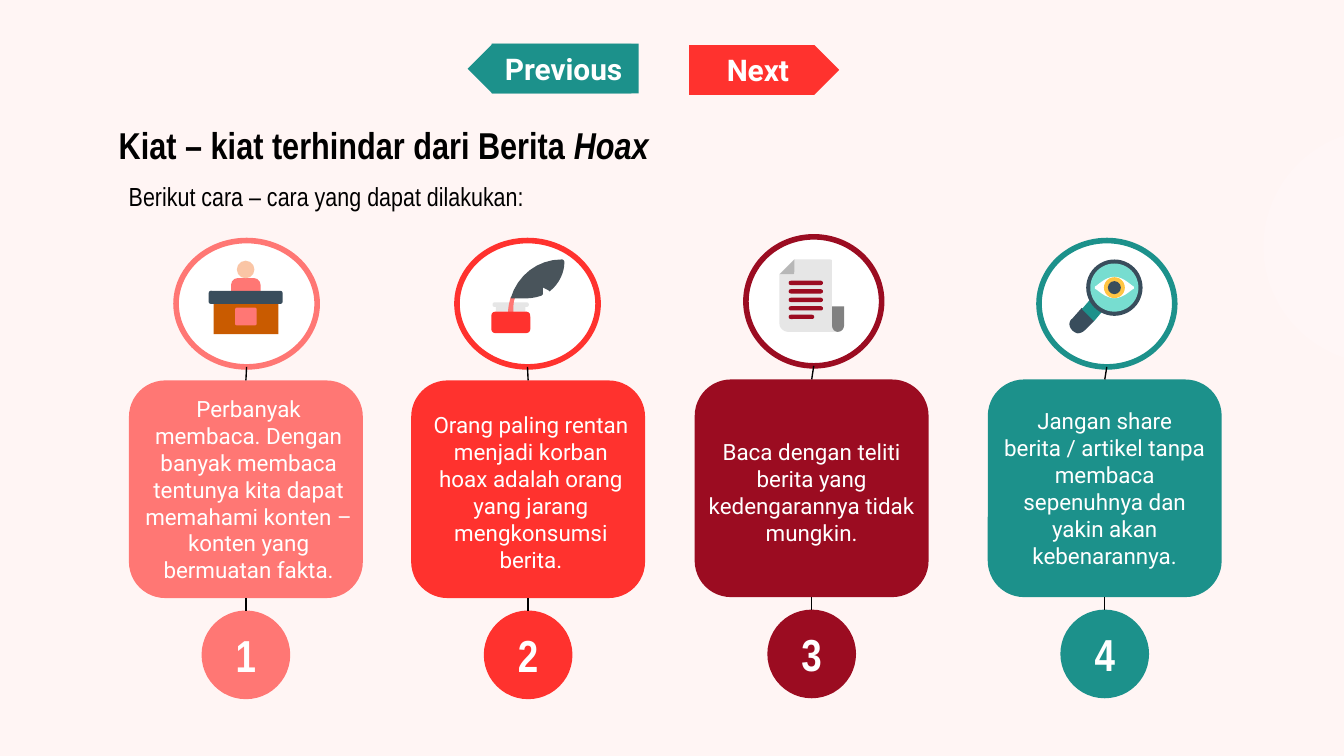
"""Build a slide with four tips for avoiding hoax news."""
from pptx import Presentation
from pptx.dml.color import RGBColor
from pptx.enum.shapes import MSO_CONNECTOR, MSO_SHAPE
from pptx.enum.text import MSO_ANCHOR, PP_ALIGN
from pptx.oxml.ns import qn
from pptx.util import Pt

OVAL, RECT = MSO_SHAPE.OVAL, MSO_SHAPE.RECTANGLE
ROUND, DOME = MSO_SHAPE.ROUNDED_RECTANGLE, MSO_SHAPE.ROUND_2_SAME_RECTANGLE
PENTAGON = MSO_SHAPE.PENTAGON
STRAIGHT = MSO_CONNECTOR.STRAIGHT
TOP, MIDDLE = MSO_ANCHOR.TOP, MSO_ANCHOR.MIDDLE
LEFT, CENTER = PP_ALIGN.LEFT, PP_ALIGN.CENTER
OUTLINE = "outline"
C = {
    "bg": "FFF5F4", "halo": "FFF6F6", "black": "000000", "white": "FFFFFF",
    "pink": "FF7774", "red": "FF322E", "wine": "9B0C21", "teal": "1C918B",
    "slate": "394D5C", "skin": "FAC5A5", "wood": "C95B00", "feather": "49545B",
    "paper": "E6E6E6", "fold": "B7B7B7", "curl": "818181",
    "mint": "77DDD0", "amber": "FFC543",
}


def write(sp, text, size=12, font="Roboto", color="white", bold=False,
          align=CENTER, anchor=TOP, inset=7.2, italic_tail=""):
    tf = sp.text_frame
    tf.word_wrap = True
    tf.vertical_anchor = anchor
    tf.margin_left = tf.margin_right = Pt(7.2)
    tf.margin_top = tf.margin_bottom = Pt(inset)
    p = tf.paragraphs[0]
    p.alignment = align
    for part, italic in ((text, False), (italic_tail, True)):
        if part:
            r = p.add_run()
            r.text = part
            r.font.size, r.font.name = Pt(size), font
            r.font.bold, r.font.italic = bold, italic
            r.font.color.rgb = RGBColor.from_string(C[color])


def draw(kind, geometry, fill, line=None, adj=None):
    if kind == OUTLINE:
        points = [geometry[0]]
        for step in geometry[1:]:
            if len(step) == 2:
                points.append(step)
                continue
            curve = [points[-1], step[:2], step[2:4], step[4:]]
            for i in range(1, 9):
                t = i / 8
                weights = ((1 - t) ** 3, 3 * t * (1 - t) ** 2, 3 * t * t * (1 - t), t ** 3)
                points.append(tuple(sum(k * q[axis] for k, q in zip(weights, curve))
                                    for axis in (0, 1)))
        points = [(Pt(x), Pt(y)) for x, y in points]
        builder = s.shapes.build_freeform(*points[0])
        builder.add_line_segments(points[1:])
        sp = builder.convert_to_shape()
    else:
        sp = s.shapes.add_shape(kind, *map(Pt, geometry))
    sp.shadow.inherit = False
    sp.fill.solid()
    sp.fill.fore_color.rgb = RGBColor.from_string(C[fill])
    if line:
        sp.line.color.rgb = RGBColor.from_string(C[line])
        sp.line.width = Pt(3)
    else:
        sp.line.fill.background()
    if adj is not None:
        sp.adjustments[0] = adj
    return sp


prs = Presentation()
prs.slide_width, prs.slide_height = Pt(720), Pt(405)
s = prs.slides.add_slide(prs.slide_layouts[6])
s.background.fill.solid()
s.background.fill.fore_color.rgb = RGBColor.from_string(C["bg"])

title = s.shapes.add_textbox(Pt(45.4), Pt(58.3), Pt(320.4), Pt(32.4))
write(title, "Kiat – kiat terhindar dari Berita ", size=20, font="Arial Narrow",
      color="black", bold=True, italic_tail="Hoax")
intro = s.shapes.add_textbox(Pt(-13), Pt(91.4), Pt(375.8), Pt(27.4))
write(intro, "Berikut cara – cara yang dapat dilakukan:", size=14,
      font="Arial Narrow", color="black", anchor=MIDDLE)

podium = [
    (DOME, (123.8, 149, 15.8, 7.2), "pink", 0.5),
    (OVAL, (126.9, 139.7, 9.4, 9.4), "skin", None),
    (RECT, (114.5, 162, 34.6, 17.1), "wood", None),
    (ROUND, (111.8, 155.8, 39.6, 7), "slate", 0.17),
    (ROUND, (126, 164.9, 11.5, 9.4), "pink", 0.08),
]
quill = [
    (ROUND, (263.9, 162, 19.4, 2.4), "paper", 0.4),
    (RECT, (265.7, 164, 15.8, 3), "paper", None),
    (OUTLINE, [(273.6, 159.1), (272.9, 162, 272.2, 164.2, 272.2, 167), (275, 167),
               (275, 164.2, 275, 162, 275.8, 159.8)], "pink", None),
    (OUTLINE, [(301, 139), (288, 139, 277.2, 147.6, 273.6, 159.8), (283, 159.8),
               (285.1, 159.8, 288, 159.1, 290.2, 158.4), (290.9, 157.7), (290.9, 154.1),
               (293.8, 155.5), (294.5, 156.2), (295.2, 155.5),
               (299.5, 151.9, 302.4, 146.2, 302.4, 140.4),
               (302.4, 139.7, 301.7, 139, 301, 139)], "feather", None),
    (ROUND, (263.2, 167, 20.9, 11.5), "red", 0.18),
]
scroll = [
    (OUTLINE, [(445, 164.2), (445, 174.2), (445, 176.4, 446.4, 177.8, 448.6, 177.8),
               (450.7, 177.8, 452.2, 176.4, 452.2, 174.2), (452.2, 164.2)], "curl", None),
    (OUTLINE, [(425.5, 139), (417.6, 146.9), (417.6, 173.5),
               (417.6, 175.7, 419.8, 177.8, 422.6, 177.8), (448.6, 177.8),
               (447.1, 177.8, 445.7, 176.4, 445.7, 174.2), (445.7, 139.7),
               (445.7, 139, 445, 139, 444.2, 139)], "paper", None),
    (OUTLINE, [(425.5, 139), (417.6, 146.9), (424.8, 146.9),
               (425.5, 146.9, 425.5, 146.2, 425.5, 145.4)], "fold", None),
] + [(ROUND, (422.5, 150.4 + 4.55 * i, width, 2.3), "wine", 0.5)
     for i, width in enumerate((18.4, 18.4, 18.4, 18.4, 13.7))]
magnifier = [
    (OUTLINE, [(579.6, 164.9), (574.6, 170.6), (572.4, 172.1, 572.4, 175, 574.6, 177.1),
               (575.3, 177.8, 576.7, 178.6, 577.4, 178.6),
               (578.9, 178.6, 580.3, 177.8, 581, 177.1), (586.1, 172.1),
               (586.1, 171.4)], "slate", None),
    (OUTLINE, [(583.9, 160.6), (579.6, 165.6), (586.1, 172.1), (590.4, 167),
               (587.5, 165.6, 585.4, 163.4, 583.9, 160.6)], "teal", None),
    (OVAL, (581.9, 139, 30.2, 30.2), "slate", None),
    (OVAL, (584.1, 141.2, 25.8, 25.8), "mint", None),
    (OUTLINE, [(597, 148.3), (592, 148.3, 587.5, 153.4, 586.8, 153.4),
               (586.4, 153.8, 586.4, 154.6, 586.8, 154.8),
               (587.5, 154.8, 592, 159.8, 597, 159.8),
               (602, 159.8, 606.5, 154.8, 607.2, 154.8),
               (607.6, 154.6, 607.6, 153.8, 607.2, 153.4),
               (606.5, 153.4, 602, 148.3, 597, 148.3)], "white", None),
    (OVAL, (591.4, 148.5, 11.2, 11.2), "amber", None),
    (OVAL, (593.5, 150.6, 7, 7), "slate", None),
]

tips = [
    ("pink", 69.1, 203.8, (94.3, 128.9, 75.6, 67.7), (70.6, 204.5), podium,
     "Perbanyak membaca. Dengan banyak membaca tentunya kita dapat memahami "
     "konten – konten yang bermuatan fakta."),
    ("red", 220.3, 203.8, (244.8, 128.9, 75.6, 67.7), (221.8, 213.1), quill,
     "Orang paling rentan menjadi korban hoax adalah orang yang jarang "
     "mengkonsumsi berita."),
    ("wine", 372.2, 203.3, (399.6, 126.9, 72.7, 69.1), (372.2, 227.5), scroll,
     "Baca dengan teliti berita yang kedengarannya tidak mungkin."),
    ("teal", 529.2, 203.3, (556.6, 128.9, 72.7, 67.7), (529.2, 211), magnifier,
     "Jangan share berita / artikel tanpa membaca sepenuhnya dan yakin akan "
     "kebenarannya."),
]
for number, (color, left, top, ring_box, text_at, icon, tip) in enumerate(tips, 1):
    card = draw(ROUND, (left, top, 125.3, 116.6), color, adj=0.167)
    ring = draw(OVAL, ring_box, "white", line=color)
    badge = draw(OVAL, (left + 38.9, top + 123.3, 47.5, 47.5), color)
    write(badge, str(number), size=24, font="Arial Narrow", bold=True, anchor=MIDDLE)
    ring_link = s.shapes.add_connector(STRAIGHT, 0, 0, ring.left + ring.width // 2,
                                       ring.top + ring.height)
    ring_link.begin_connect(card, 0)
    badge_link = s.shapes.add_connector(STRAIGHT, 0, 0, 0, 0)
    badge_link.begin_connect(card, 2)
    badge_link.end_connect(badge, 0)
    for link in (ring_link, badge_link):
        link.line.color.rgb = RGBColor.from_string(C["black"])
        link.line.width = Pt(0.75)
        sp_pr = link._element.spPr
        sp_pr.append(sp_pr.makeelement(qn("a:effectLst"), {}))
    write(s.shapes.add_textbox(*map(Pt, text_at), Pt(125.3), Pt(70.6)), tip)
    for kind, geometry, fill, adj in icon:
        draw(kind, geometry, fill, adj=adj)

next_button = draw(PENTAGON, (369.2, 24.2, 80.4, 26.6), "red")
write(next_button, "Next", size=16, bold=True, anchor=MIDDLE, inset=3.6)
arrow = draw(PENTAGON, (250.5, 23.5, 87.8, 26.6), "teal")
arrow.rotation = 180
label = draw(RECT, (263.4, 23.4, 78.8, 26.7), "teal")
write(label, "Previous", size=16, bold=True, align=LEFT, inset=3.6)
draw(OVAL, (676.8, 69.1, 128.2, 126), "halo")

prs.save("out.pptx")
